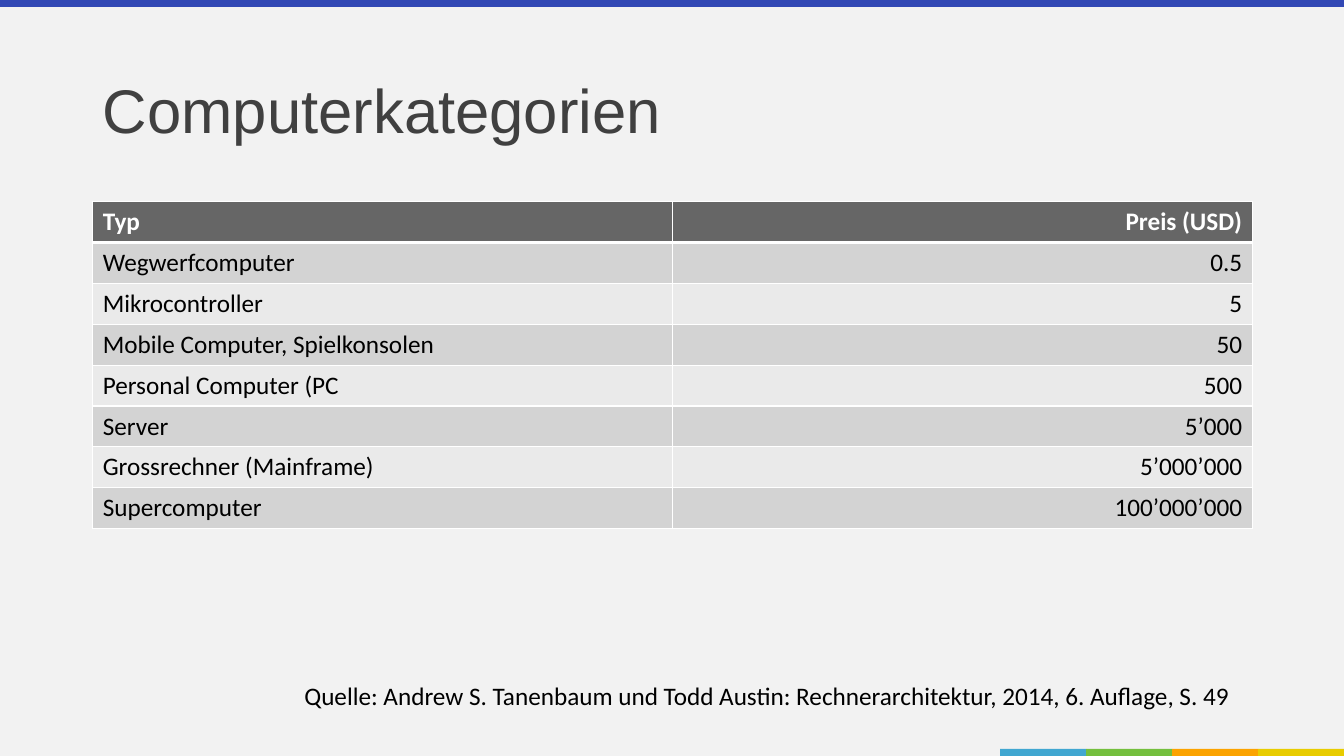
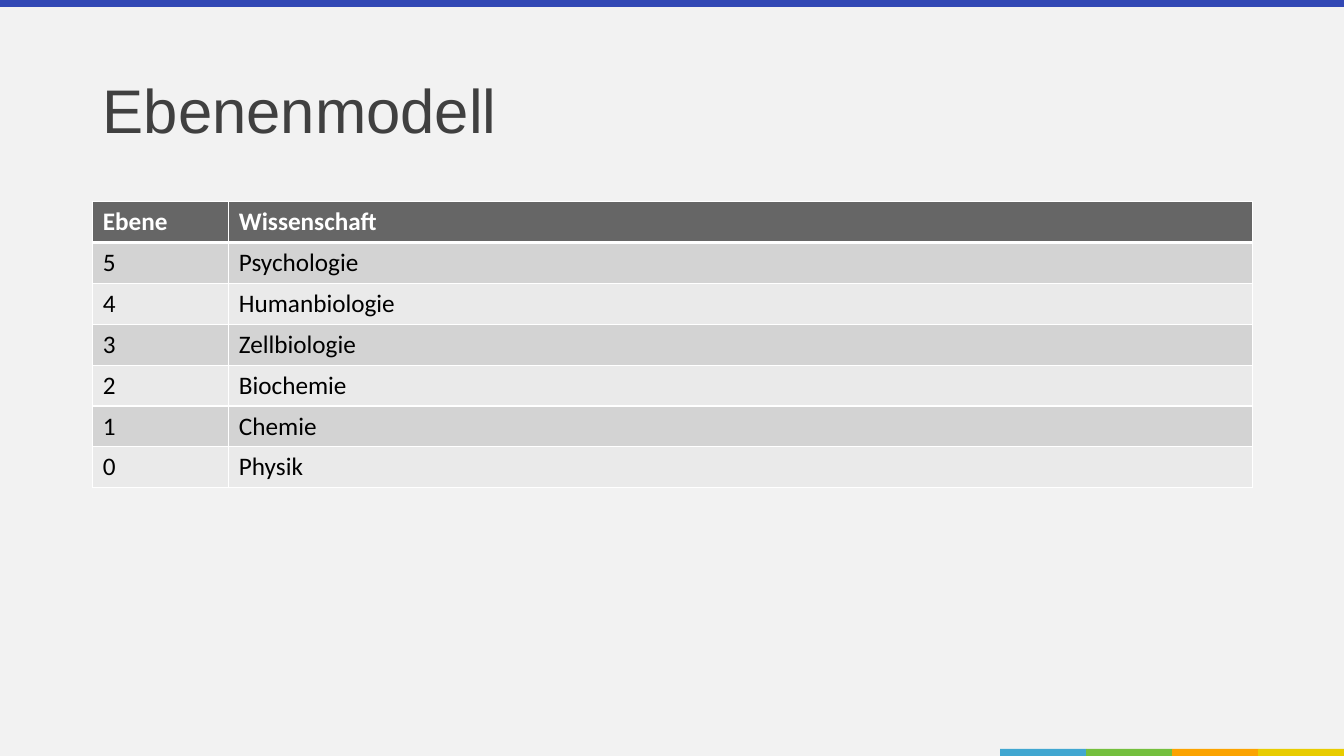
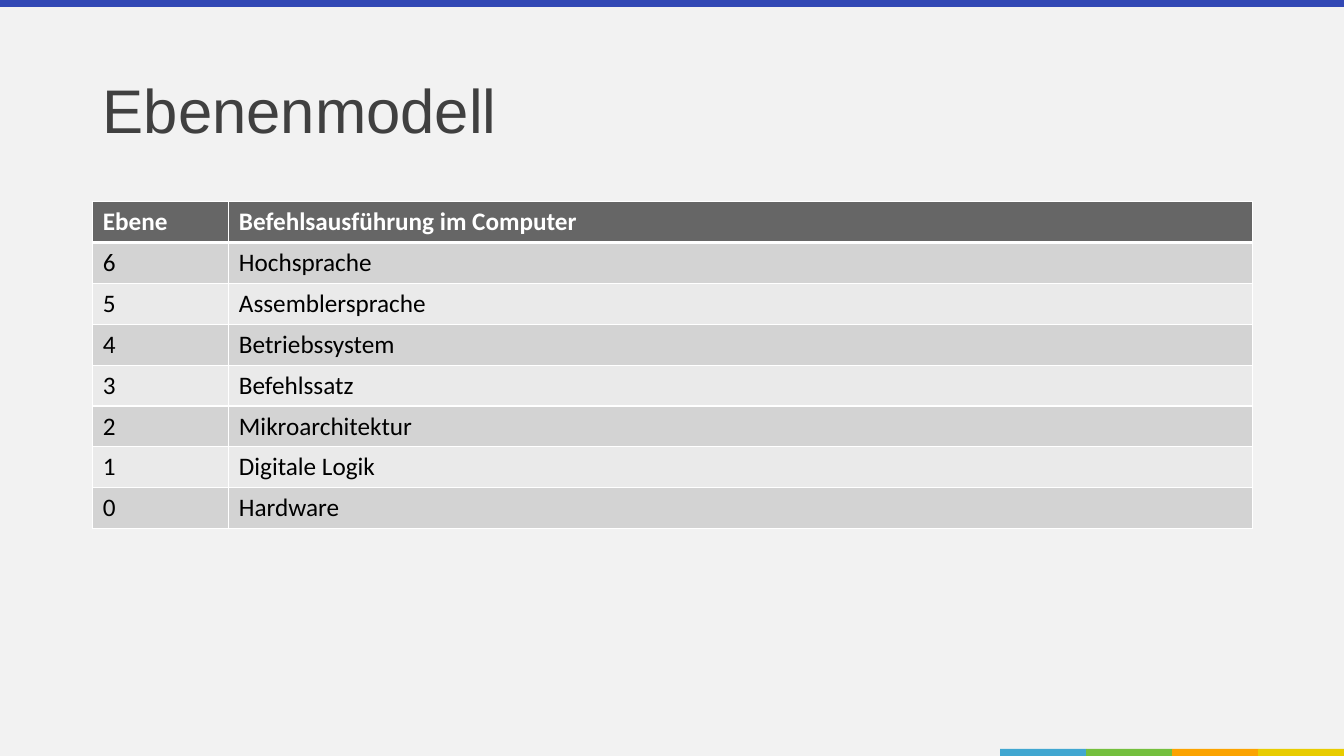
"""Build three slides on computer categories and layer models."""
import lxml.etree
import pptx
import pptx.dml.color
import pptx.enum.shapes
import pptx.enum.text
import pptx.oxml.ns
import pptx.util

Inches = pptx.util.Inches
Pt = pptx.util.Pt
RGB = pptx.dml.color.RGBColor
PP_ALIGN = pptx.enum.text.PP_ALIGN
qn = pptx.oxml.ns.qn

SLIDES = [
    {
        "title": "Computerkategorien",
        "columns": [(5.75, PP_ALIGN.LEFT), (5.75, PP_ALIGN.RIGHT)],
        "rows": [
            ("Typ", "Preis (USD)"),
            ("Wegwerfcomputer", "0.5"),
            ("Mikrocontroller", "5"),
            ("Mobile Computer, Spielkonsolen", "50"),
            ("Personal Computer (PC", "500"),
            ("Server", "5’000"),
            ("Grossrechner (Mainframe)", "5’000’000"),
            ("Supercomputer", "100’000’000"),
        ],
        "source": "Quelle: Andrew S. Tanenbaum und Todd Austin: "
                  "Rechnerarchitektur, 2014, 6. Auflage, S. 49",
    },
    {
        "title": "Ebenenmodell",
        "columns": [(1.35, PP_ALIGN.LEFT), (10.15, PP_ALIGN.LEFT)],
        "rows": [
            ("Ebene", "Wissenschaft"),
            ("5", "Psychologie"),
            ("4", "Humanbiologie"),
            ("3", "Zellbiologie"),
            ("2", "Biochemie"),
            ("1", "Chemie"),
            ("0", "Physik"),
        ],
    },
    {
        "title": "Ebenenmodell",
        "columns": [(1.35, PP_ALIGN.LEFT), (10.15, PP_ALIGN.LEFT)],
        "rows": [
            ("Ebene", "Befehlsausführung im Computer"),
            ("6", "Hochsprache"),
            ("5", "Assemblersprache"),
            ("4", "Betriebssystem"),
            ("3", "Befehlssatz"),
            ("2", "Mikroarchitektur"),
            ("1", "Digitale Logik"),
            ("0", "Hardware"),
        ],
    },
]

BACKGROUND = RGB(0xF2, 0xF2, 0xF2)
TITLE_COLOR = RGB(0x40, 0x40, 0x40)
TOP_BAND = RGB(0x32, 0x48, 0xB5)
FOOTER_BANDS = [RGB(0x41, 0xA7, 0xD1), RGB(0x74, 0xBF, 0x3D),
                RGB(0xFB, 0xA3, 0x00), RGB(0xE8, 0xCC, 0x00)]
HEADER_FILL = RGB(0x66, 0x66, 0x66)
ROW_FILLS = [RGB(0xEA, 0xEA, 0xEA), RGB(0xD3, 0xD3, 0xD3)]
WHITE = RGB(0xFF, 0xFF, 0xFF)
BLACK = RGB(0x00, 0x00, 0x00)

SLIDE_WIDTH, SLIDE_HEIGHT = Inches(13.33), Inches(7.5)
BAND_HEIGHT = Inches(0.07)
FOOTER_BAND_WIDTH = Inches(3.41) // len(FOOTER_BANDS)
MARGIN, CONTENT_WIDTH = Inches(0.92), Inches(11.5)
TABLE_TOP = Inches(2)
ROW_HEIGHT = Inches(3.24) // 8


def style_text(paragraph, font_name, size, color, bold=False):
    font = paragraph.font
    font.name, font.size, font.bold = font_name, Pt(size), bold
    font.color.rgb = color


def add_band(slide, left, top, width, color):
    band = slide.shapes.add_shape(
        pptx.enum.shapes.MSO_SHAPE.RECTANGLE, left, top, width, BAND_HEIGHT)
    band.shadow.inherit = False
    band.fill.solid()
    band.fill.fore_color.rgb = color
    band.line.fill.background()


def add_bands(slide):
    add_band(slide, 0, 0, SLIDE_WIDTH, TOP_BAND)
    first_left = SLIDE_WIDTH - len(FOOTER_BANDS) * FOOTER_BAND_WIDTH
    for index, color in enumerate(FOOTER_BANDS):
        add_band(slide, first_left + index * FOOTER_BAND_WIDTH,
                 SLIDE_HEIGHT - BAND_HEIGHT, FOOTER_BAND_WIDTH, color)


def set_title(slide, text):
    title = slide.shapes.title
    title.left, title.top = MARGIN, Inches(0.4)
    title.width, title.height = CONTENT_WIDTH, Inches(1.45)
    frame = title.text_frame
    frame.text = text
    frame.auto_size = pptx.enum.text.MSO_AUTO_SIZE.NONE
    frame.vertical_anchor = pptx.enum.text.MSO_ANCHOR.MIDDLE
    heading = frame.paragraphs[0]
    heading.alignment = PP_ALIGN.LEFT
    heading.line_spacing = 0.9
    style_text(heading, "Arial", 44, TITLE_COLOR)


def set_borders(cell, top, bottom):
    properties = cell._tc.get_or_add_tcPr()
    sides = [("a:lnL", 1), ("a:lnR", 1), ("a:lnT", top), ("a:lnB", bottom)]
    for position, (side, width) in enumerate(sides):
        line = lxml.etree.Element(qn(side), w=str(Pt(width)))
        fill = lxml.etree.SubElement(line, qn("a:solidFill"))
        lxml.etree.SubElement(fill, qn("a:srgbClr"), val=str(WHITE))
        properties.insert(position, line)


def add_data_table(slide, columns, rows):
    table = slide.shapes.add_table(
        len(rows), len(columns), MARGIN, TABLE_TOP,
        CONTENT_WIDTH, ROW_HEIGHT * len(rows)).table
    for column, (width, _) in zip(table.columns, columns):
        column.width = Inches(width)
    for row_index, values in enumerate(rows):
        header = row_index == 0
        table.rows[row_index].height = ROW_HEIGHT
        for column_index, value in enumerate(values):
            cell = table.cell(row_index, column_index)
            cell.text = value
            cell.fill.solid()
            cell.fill.fore_color.rgb = (
                HEADER_FILL if header else ROW_FILLS[row_index % 2])
            entry = cell.text_frame.paragraphs[0]
            entry.alignment = columns[column_index][1]
            style_text(entry, "Calibri", 18, WHITE if header else BLACK, header)
            set_borders(cell, 3 if row_index == 1 else 1, 3 if header else 1)


def add_source(slide, text):
    source = slide.shapes.add_textbox(
        Inches(2.92), Inches(6.7), Inches(9.49), Inches(0.4))
    frame = source.text_frame
    frame.text = text
    frame.word_wrap = False
    frame.auto_size = pptx.enum.text.MSO_AUTO_SIZE.SHAPE_TO_FIT_TEXT
    style_text(frame.paragraphs[0], "Calibri", 18, BLACK)


def main():
    deck = pptx.Presentation()
    deck.slide_width, deck.slide_height = SLIDE_WIDTH, SLIDE_HEIGHT
    backdrop = deck.slide_master.background.fill
    backdrop.solid()
    backdrop.fore_color.rgb = BACKGROUND
    for content in SLIDES:
        slide = deck.slides.add_slide(deck.slide_layouts[5])
        add_bands(slide)
        set_title(slide, content["title"])
        add_data_table(slide, content["columns"], content["rows"])
        if "source" in content:
            add_source(slide, content["source"])
    deck.save("out.pptx")


if __name__ == "__main__":
    main()
